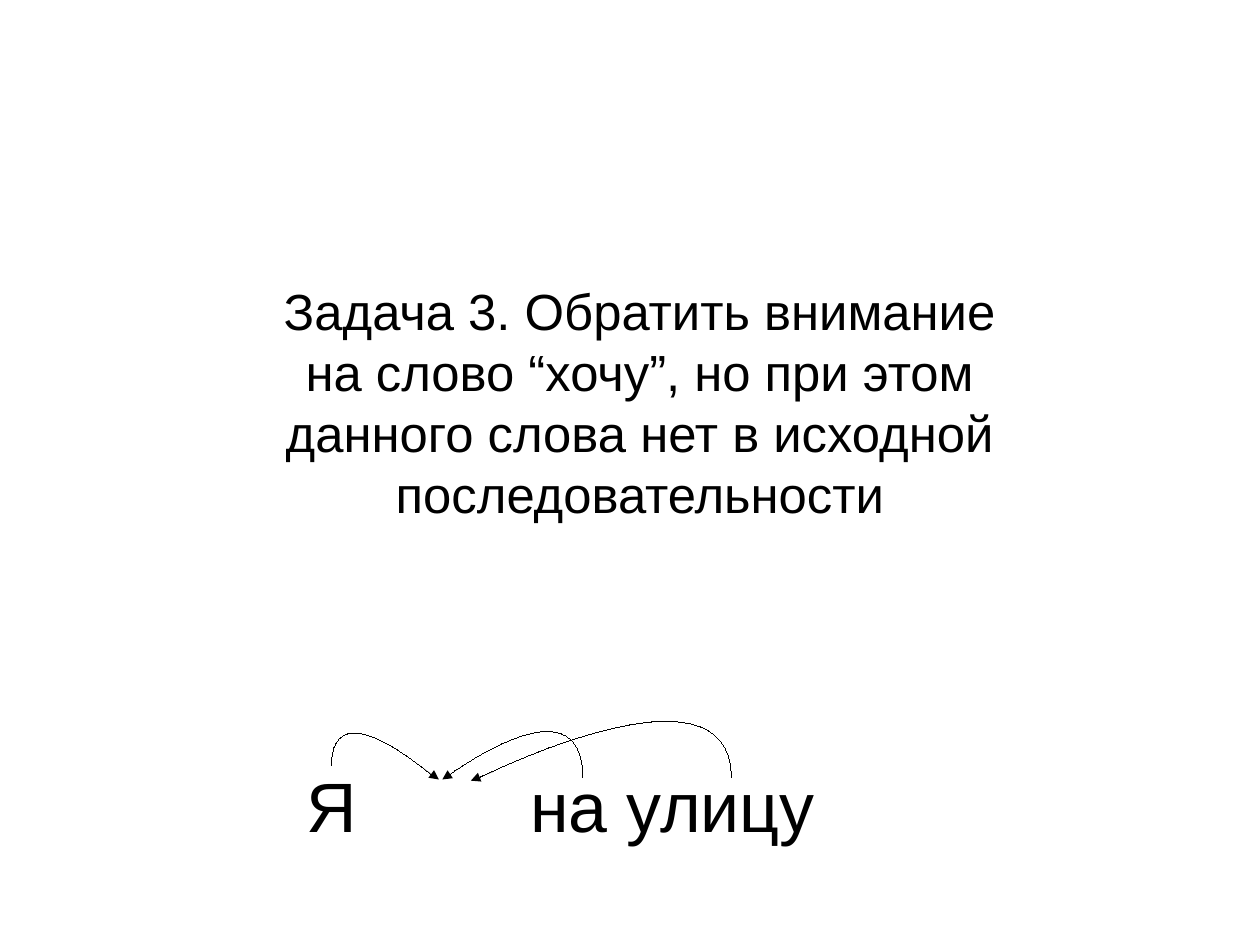
from dataclasses import dataclass

from lxml.etree import SubElement
from pptx import Presentation
from pptx.dml.color import RGBColor
from pptx.enum.shapes import MSO_CONNECTOR
from pptx.enum.text import MSO_ANCHOR, PP_ALIGN
from pptx.oxml.ns import qn
from pptx.util import Inches, Pt


@dataclass(frozen=True)
class Theme:
    """Hold the font, colour and sizes of the slide."""
    font: str = "Arial"
    ink: RGBColor = RGBColor(0, 0, 0)
    task_size: int = 32
    phrase_size: int = 44
    hairline: int = 0


THEME = Theme()
CM_PER_INCH = 2.54
CURVE_STEPS = 32
ARCS = [
    ((2.9, 6.7), (2.9, 6), (3.8, 6.8)),
    ((5.1, 6.8), (5.1, 5.9), (3.9, 6.8)),
    ((6.4, 6.8), (6.4, 5.7), (4.2, 6.8)),
]
ARROWS = [
    ((3.62, 6.66), (3.84, 6.82)),
    ((4.05, 6.7), (3.87, 6.82)),
    ((4.32, 6.75), (4.12, 6.83)),
]


def style_text(paragraph, size):
    """Format every run of a paragraph."""
    for run in paragraph.runs:
        run.font.name = THEME.font
        run.font.size = Pt(size)
        run.font.color.rgb = THEME.ink


def style_line(line):
    """Draw a hairline in the ink colour and return its element."""
    line.color.rgb = THEME.ink
    outline = line._get_or_add_ln()
    outline.set("w", str(THEME.hairline))
    return outline


def set_task(title):
    """Place and fill the task statement."""
    title.left, title.top = Inches(2.1), Inches(2.4)
    title.width, title.height = Inches(7), Inches(2.09)
    frame = title.text_frame
    frame.text = ("Задача 3. Обратить внимание на слово “хочу”, но при этом "
                  "данного слова нет в исходной последовательности")
    frame.word_wrap = True
    frame.vertical_anchor = MSO_ANCHOR.TOP
    statement = frame.paragraphs[0]
    statement.alignment = PP_ALIGN.CENTER
    statement.line_spacing = 1.0
    statement.space_before = Pt(0)
    style_text(statement, THEME.task_size)


def add_phrase(slide):
    """Add the phrase with a tab gap where the word is missing."""
    box = slide.shapes.add_textbox(Inches(2.58), Inches(6.62), Inches(4.66), Inches(0.78))
    frame = box.text_frame
    frame.word_wrap = True
    frame.margin_right = Inches(0)
    frame.text = "Я\tна улицу"
    phrase = frame.paragraphs[0]
    tabs = SubElement(phrase._p.get_or_add_pPr(), qn("a:tabLst"))
    SubElement(tabs, qn("a:tab"), pos=str(Inches(1.96)), algn="l")
    style_text(phrase, THEME.phrase_size)


def curve_point(start, bend, end, t):
    """Return a point of the cubic curve whose second handle is its end."""
    return tuple(Inches((1 - t) ** 3 * a + 3 * (1 - t) ** 2 * t * b + (3 - 2 * t) * t ** 2 * c)
                 for a, b, c in zip(start, bend, end))


def add_arc(slide, start, bend, end):
    """Add an open arc from a word to the gap."""
    points = [curve_point(start, bend, end, step / CURVE_STEPS)
              for step in range(CURVE_STEPS + 1)]
    builder = slide.shapes.build_freeform(*points[0])
    builder.add_line_segments(points[1:], close=False)
    arc = builder.convert_to_shape()
    arc.shadow.inherit = False
    arc.fill.background()
    style_line(arc.line)


def add_arrow(slide, start, end):
    """Add a short arrow that ends an arc."""
    ends = [Inches(value) for value in (*start, *end)]
    arrow = slide.shapes.add_connector(MSO_CONNECTOR.STRAIGHT, *ends)
    outline = style_line(arrow.line)
    SubElement(outline, qn("a:tailEnd"), type="triangle")
    SubElement(arrow._element.spPr, qn("a:effectLst"))


def main():
    """Build and save the slide."""
    deck = Presentation()
    deck.slide_width = Inches(28 / CM_PER_INCH)
    deck.slide_height = Inches(21 / CM_PER_INCH)
    slide = deck.slides.add_slide(deck.slide_layouts[5])
    set_task(slide.shapes.title)
    add_phrase(slide)
    for arc in ARCS:
        add_arc(slide, *arc)
    for arrow in ARROWS:
        add_arrow(slide, *arrow)
    deck.save("out.pptx")


if __name__ == "__main__":
    main()
